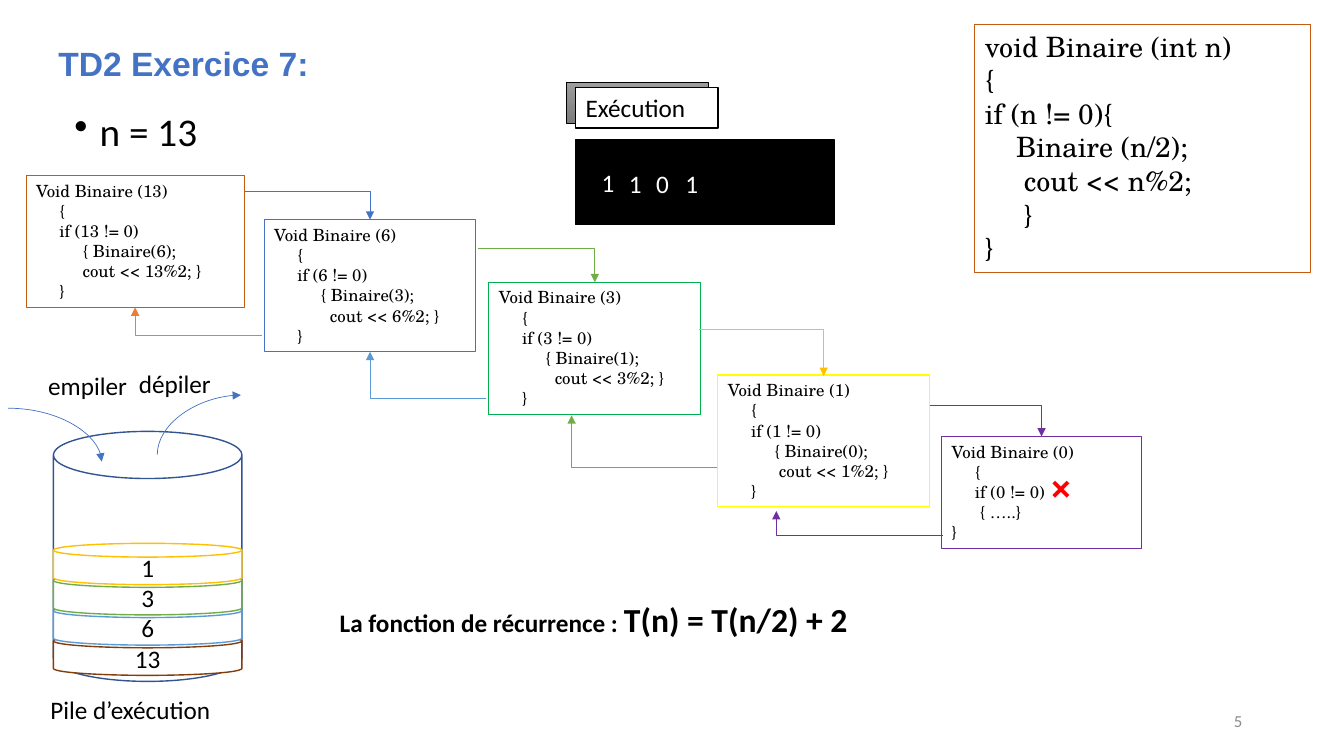
from lxml.etree import SubElement
from pptx import Presentation
from pptx.dml.color import RGBColor
from pptx.enum.shapes import MSO_CONNECTOR as LINK, MSO_SHAPE as SHAPE
from pptx.enum.text import MSO_ANCHOR as ANCHOR, PP_ALIGN as ALIGN
from pptx.oxml.ns import qn
from pptx.util import Inches, Pt

BLACK = RGBColor(0x00, 0x00, 0x00)
WHITE = RGBColor(0xFF, 0xFF, 0xFF)
GREY = RGBColor(0x8C, 0x8C, 0x8C)
LIGHT = RGBColor(0x9D, 0x9D, 0x9D)
DARK = RGBColor(0x7C, 0x7C, 0x7C)
RED = RGBColor(0xFF, 0x00, 0x00)
BLUE = RGBColor(0x44, 0x72, 0xC4)
NAVY = RGBColor(0x32, 0x54, 0x91)
SKY = RGBColor(0x5B, 0x9B, 0xD5)
GREEN = RGBColor(0x70, 0xAD, 0x47)
EMERALD = RGBColor(0x00, 0xB0, 0x50)
GOLD = RGBColor(0xFF, 0xC0, 0x00)
YELLOW = RGBColor(0xFF, 0xFF, 0x00)
ORANGE = RGBColor(0xED, 0x7D, 0x31)
RUST = RGBColor(0xC5, 0x5A, 0x11)
BROWN = RGBColor(0x84, 0x3C, 0x0B)
PURPLE = RGBColor(0x70, 0x30, 0xA0)

SANS, SERIF = "Calibri", "TeX Gyre Schola"

deck = Presentation()
deck.slide_width, deck.slide_height = Inches(13.33), Inches(7.5)
slide = deck.slides.add_slide(deck.slide_layouts[6])


def add(at, text="", size=18, face=SANS, ink=BLACK, bold=None, align=ALIGN.LEFT,
        anchor=ANCHOR.TOP, kind=None, fill=None, line=None, width=1):
    """Add a text box, or a preset shape when kind is given."""
    frame = [Inches(v) for v in at]
    if kind is None:
        shape = slide.shapes.add_textbox(*frame)
    else:
        shape = slide.shapes.add_shape(kind, *frame)
        shape.shadow.inherit = False
        shape.line.color.rgb = line
        shape.line.width = Pt(width)
        if fill is None:
            shape.fill.background()
        else:
            shape.fill.solid()
            shape.fill.fore_color.rgb = fill
    body = shape.text_frame
    body.word_wrap = True
    body.vertical_anchor = anchor
    body.text = text
    for par in body.paragraphs:
        par.alignment = align
        font = par.font
        font.size, font.name, font.bold = Pt(size), face, bold
        font.color.rgb = ink
    return shape


def arrow(kind, at, color, turn=0, flip=False):
    """Add a one-corner connector in the frame at, turned by degrees."""
    x, y, w, h = at
    link = slide.shapes.add_connector(
        LINK.ELBOW, Inches(x), Inches(y), Inches(x + w), Inches(y + h))
    link.line.color.rgb = color
    link.line.width = Pt(0.5)
    props = link._element.spPr
    props.find(qn("a:prstGeom")).set("prst", kind)
    frame = props.find(qn("a:xfrm"))
    if turn:
        frame.set("rot", str(turn * 60000))
    if flip:
        frame.set("flipH", "1")
        frame.set("flipV", "1")
    SubElement(props.find(qn("a:ln")), qn("a:tailEnd"), type="triangle")
    SubElement(props, qn("a:effectLst"))


# Title, bullet and slide number
add((0.48, 0.32, 11.5, 0.62), "TD2 Exercice 7:", 24, "Arial", BLUE, True,
    anchor=ANCHOR.MIDDLE)
par = add((0.64, 1.11, 4.15, 0.5), "n = 13", 28).text_frame.paragraphs[0]
par.line_spacing = 0.8
props = par._p.get_or_add_pPr()
props.set("marL", str(Inches(0.25)))
props.set("indent", str(-Inches(0.25)))
mark = SubElement(props, qn("a:buChar"), char="•")
rank = props.find(qn("a:defRPr"))
if rank is not None:
    rank.addprevious(mark)
add((9.42, 6.95, 3, 0.4), "5", 12, ink=GREY, align=ALIGN.RIGHT, anchor=ANCHOR.MIDDLE)

# Recursive calls: value, frame, colour, indent of the output line
calls = [
    (13, (0.26, 1.74, 2.17, 1.31), RUST, 10),
    (6, (2.62, 2.18, 2.1, 1.31), BLUE, 12),
    (3, (4.85, 2.8, 2.1, 1.31), EMERALD, 12),
    (1, (7.12, 3.72, 2.1, 1.31), YELLOW, 11),
    (0, (9.34, 4.33, 1.98, 1.11), PURPLE, 0),
]
for n, at, color, pad in calls:
    code = [f"Void Binaire ({n})", "     {", f"     if ({n} != 0)"]
    if n:
        code += [f"          {{ Binaire({n // 2});",
                 " " * pad + f"cout << {n}%2; }}", "     }"]
    else:
        code += ["      { …..}", "}"]
    add(at, "\n".join(code), 12, SERIF, kind=SHAPE.RECTANGLE, line=color, width=0.75)
add((10.31, 4.52, 0.35, 0.57), "×", 28, SERIF, RED, True)

# Arrows down to the next call
for at, color in [
    ((2.43, 1.9, 1.24, 0.28), BLUE),
    ((4.74, 2.46, 1.16, 0.34), GREEN),
    ((6.93, 3.27, 1.24, 0.46), GOLD),
    ((9.22, 4.02, 1.11, 0.31), PURPLE),
]:
    arrow("bentConnector2", at, color)

# Arrows back to the caller
for at, color in [
    ((7.7, 5.07, 1.65, 0.24), PURPLE),
    ((5.67, 4.12, 1.44, 0.52), GREEN),
    ((3.67, 3.49, 1.15, 0.46), SKY),
    ((1.34, 3.05, 1.26, 0.28), ORANGE),
]:
    arrow("bentConnector2", at, color, 180)

# Execution stack
add((0.53, 4.28, 1.87, 2.48), kind=SHAPE.CAN, line=NAVY)
for i, (n, color) in enumerate([(13, BROWN), (6, SKY), (3, GREEN), (1, GOLD)]):
    add((0.53, 6.29 - 0.3 * i, 1.87, 0.41), str(n), align=ALIGN.CENTER,
        anchor=ANCHOR.MIDDLE, kind=SHAPE.FLOWCHART_MAGNETIC_DISK, fill=WHITE, line=color)
add((0.4, 6.84, 2.41, 0.4), "Pile d’exécution")
add((0.38, 3.62, 1.05, 0.4), "empiler")
add((1.28, 3.6, 1.05, 0.4), "dépiler")
arrow("curvedConnector2", (0.08, 4.05, 0.93, 0.53), BLUE)
arrow("curvedConnector2", (1.68, 3.8, 0.59, 0.83), BLUE, 90, True)

# Output screen
back = add((5.62, 0.82, 1.41, 0.4), kind=SHAPE.RECTANGLE, line=BLACK, width=0.5)
back.fill.gradient()
back.fill.gradient_angle = 270
for stop, shade in zip(back.fill.gradient_stops, (LIGHT, DARK)):
    stop.color.rgb = shade
add((5.71, 0.87, 1.41, 0.4), "Exécution", kind=SHAPE.RECTANGLE, fill=WHITE, line=BLACK)
add((5.71, 1.39, 2.57, 0.84), kind=SHAPE.RECTANGLE, fill=BLACK, line=BLACK)
for bit, x, y, w in [("1", 5.87, 1.55, 0.36), ("1", 6.14, 1.56, 0.36),
                     ("0", 6.41, 1.56, 0.36), ("1", 6.7, 1.56, 0.48)]:
    add((x, y, w, 0.52), bit, ink=WHITE, anchor=ANCHOR.MIDDLE,
        kind=SHAPE.RECTANGLE, fill=BLACK, line=BLACK)

# Function source
source = """void Binaire (int n)
{
if (n != 0){
    Binaire (n/2);
     cout << n%2;
     }
}"""
add((9.67, 0.24, 3.33, 2.46), source, 20, SERIF, kind=SHAPE.RECTANGLE,
    fill=WHITE, line=RUST, width=0.75)

# Recurrence
par = add((3.27, 5.89, 5.55, 0.5), "La fonction de récurrence : ",
          bold=True).text_frame.paragraphs[0]
run = par.add_run()
run.text = "T(n) = T(n/2) + 2"
run.font.size = Pt(24)

deck.save("out.pptx")
